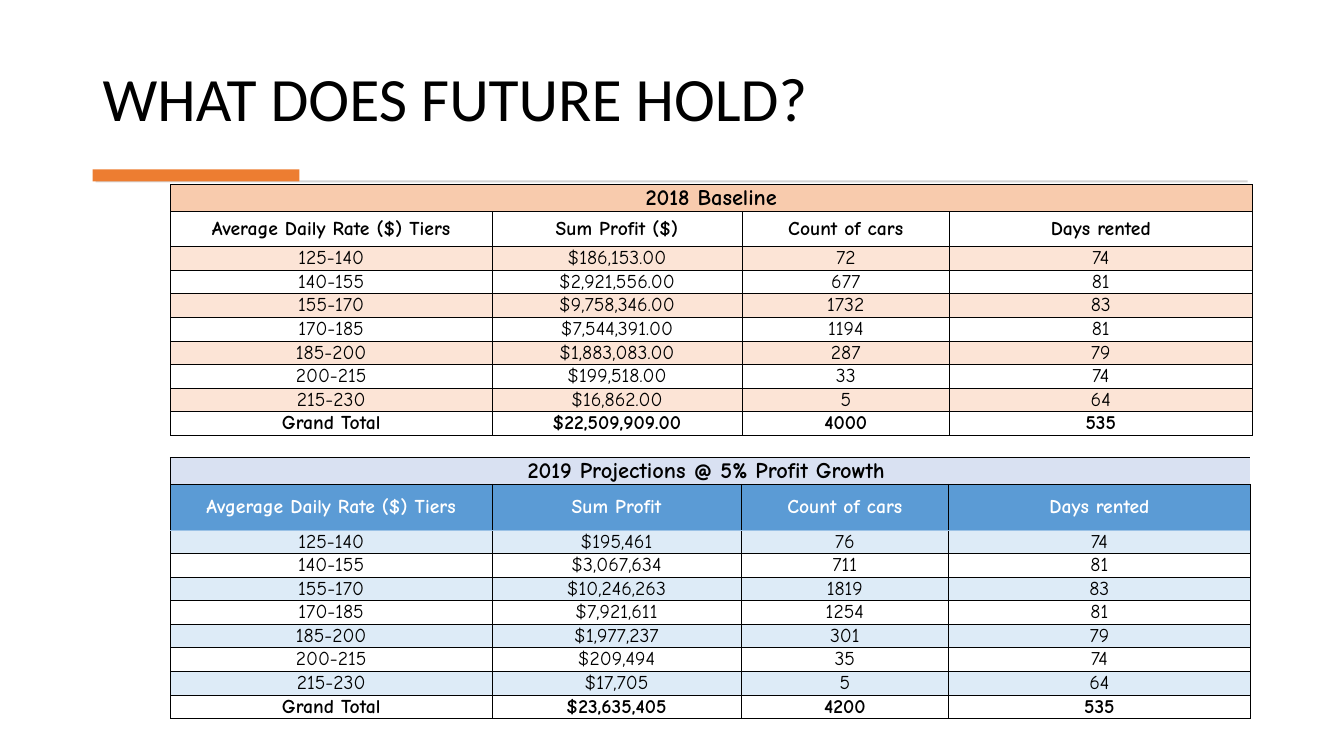
"""Build the slide that sets a 2018 baseline table above its 2019 projection."""
from dataclasses import dataclass

from lxml import etree
from pptx import Presentation, util as u
from pptx.dml.color import RGBColor
from pptx.enum import shapes, text
from pptx.oxml import ns

WIDTH, HEIGHT = u.Inches(13.33), u.Inches(7.5)
BLACK, WHITE = "000000", "FFFFFF"
TABLE_LEFT = 12.68
TITLE_ROW, BODY_ROW = 3.33, 2.93
TIERS = ("125-140", "140-155", "155-170", "170-185", "185-200", "200-215", "215-230", "Grand Total")
DAYS = ("74", "81", "83", "81", "79", "74", "64", "535")
Edges = dict[str, tuple[str, float]]


@dataclass
class Area:
    """A rectangle in percent of the slide's width and height."""
    left: float
    top: float
    width: float
    height: float

    def emu(self) -> tuple[int, int, int, int]:
        return across(self.left), down(self.top), across(self.width), down(self.height)


@dataclass
class Bar:
    """A plain filled strip under the heading."""
    area: Area
    fill: str


@dataclass
class RateTable:
    """One rental table: wording, geometry in percent, and colours."""
    title: str
    headings: tuple[str, ...]
    profits: tuple[str, ...]
    cars: tuple[str, ...]
    top: float
    columns: tuple[float, ...]
    heading_row: float
    title_fill: str
    heading_fill: str | None
    heading_color: str
    band_fill: str
    row_edges: dict[int, Edges]


@dataclass
class CellStyle:
    """The look of one cell."""
    size: int
    bold: bool
    color: str
    fill: str | None
    edges: Edges


BARS = (
    Bar(Area(7.12, 23.87, 85.72, 0.27), "D5D5D5"),
    Bar(Area(6.9, 22.4, 15.38, 1.6), "ED7D31"),
)

TABLES = (
    RateTable(
        "2018 Baseline",
        ("Average Daily Rate ($) Tiers", "Sum Profit ($)", "Count of cars", "Days rented"),
        ("$186,153.00", "$2,921,556.00", "$9,758,346.00", "$7,544,391.00",
         "$1,883,083.00", "$199,518.00", "$16,862.00", "$22,509,909.00"),
        ("72", "677", "1732", "1194", "287", "33", "5", "4000"),
        24.4, (23.93, 18.6, 15.45, 22.5), 4.67, "F8CBAD", None, BLACK, "FCE4D6",
        {8: {"B": (BLACK, 1)}, 9: {"T": (BLACK, 1)}},
    ),
    RateTable(
        "2019 Projections @ 5% Profit Growth ",
        ("Avgerage Daily Rate ($) Tiers", "Sum Profit", "Count of cars", "Days rented"),
        ("$195,461", "$3,067,634", "$10,246,263", "$7,921,611",
         "$1,977,237", "$209,494", "$17,705", "$23,635,405"),
        ("76", "711", "1819", "1254", "301", "35", "5", "4200"),
        60.53, (23.93, 18.53, 15.45, 22.43), 6, "D9E1F2", "5B9BD5", WHITE, "DDEBF7",
        {0: {"L": (BLACK, 1), "T": (BLACK, 1), "R": (BLACK, 0), "B": (BLACK, 1)},
         1: {"T": (BLACK, 1), "B": ("9BC2E6", 0.5)},
         2: {"T": ("9BC2E6", 0.5)}},
    ),
)


def across(share: float) -> int:
    """Turn a percentage of the slide's width into a length."""
    return round(WIDTH * share / 100)


def down(share: float) -> int:
    """Turn a percentage of the slide's height into a length."""
    return round(HEIGHT * share / 100)


def paint(fill, color: str | None) -> None:
    """Apply a solid hex colour, or no fill."""
    if color is None:
        fill.background()
    else:
        fill.solid()
        fill.fore_color.rgb = RGBColor.from_string(color)


def assign(target, values: dict) -> None:
    """Set each named attribute on the target."""
    for name, value in values.items():
        setattr(target, name, value)


def write(para, words: str, face: str, size: int, color: str, bold: bool = False) -> None:
    """Add one formatted span to a paragraph."""
    span = para.add_run()
    span.text = words
    assign(span.font, {"name": face, "size": u.Pt(size), "bold": bold})
    paint(span.font.fill, color)


def draw_heading(page) -> None:
    """Place the slide heading."""
    frame = page.shapes.add_textbox(*Area(6.9, 3.73, 86.18, 14.8).emu()).text_frame
    assign(frame, {"word_wrap": True, "vertical_anchor": text.MSO_ANCHOR.BOTTOM})
    para = frame.paragraphs[0]
    para.line_spacing = 0.9
    write(para, "WHAT DOES FUTURE HOLD?", "Calibri", 44, BLACK)


def draw_bar(page, bar: Bar) -> None:
    """Place one strip."""
    box = page.shapes.add_shape(shapes.MSO_SHAPE.RECTANGLE, *bar.area.emu())
    box.shadow.inherit = False
    paint(box.fill, bar.fill)
    box.line.fill.background()


def add_edges(cell, edges: Edges) -> None:
    """Draw the four borders of a cell; zero width means none."""
    properties = cell._tc.get_or_add_tcPr()
    for side in "LRTB":
        color, width = edges.get(side, (BLACK, 0.5))
        line = etree.SubElement(properties, ns.qn(f"a:ln{side}"), w=str(u.Pt(width)))
        if width:
            solid = etree.SubElement(line, ns.qn("a:solidFill"))
            etree.SubElement(solid, ns.qn("a:srgbClr"), val=color)
        else:
            etree.SubElement(line, ns.qn("a:noFill"))


def fill_cell(cell, words: str, style: CellStyle) -> None:
    """Give a cell its borders, fill and centred wording."""
    add_edges(cell, style.edges)
    paint(cell.fill, style.fill)
    assign(cell, {"margin_left": 0, "margin_right": 0, "margin_top": 0, "margin_bottom": 0,
                  "vertical_anchor": text.MSO_ANCHOR.MIDDLE})
    para = cell.text_frame.paragraphs[0]
    para.alignment = text.PP_ALIGN.CENTER
    if words:
        write(para, words, "Comic Neue", style.size, style.color, style.bold)


def row_style(table: RateTable, index: int, last: int) -> CellStyle:
    """Choose the look of a row from its place in the table."""
    edges = table.row_edges.get(index, {})
    if index == 0:
        return CellStyle(16, True, BLACK, table.title_fill, edges)
    if index == 1:
        return CellStyle(14, True, table.heading_color, table.heading_fill, edges)
    band = table.band_fill if index % 2 == 0 else None
    return CellStyle(14, index == last, BLACK, band, edges)


def draw_table(page, table: RateTable) -> None:
    """Place one rental table."""
    rows = [(table.title, "", "", ""), table.headings,
            *zip(TIERS, table.profits, table.cars, DAYS)]
    heights = [TITLE_ROW, table.heading_row] + [BODY_ROW] * len(TIERS)
    area = Area(TABLE_LEFT, table.top, sum(table.columns), sum(heights))
    grid = page.shapes.add_table(len(rows), len(table.columns), *area.emu()).table
    assign(grid, {"first_row": False, "horz_banding": False})
    for column, share in zip(grid.columns, table.columns):
        column.width = across(share)
    for index, (words, share) in enumerate(zip(rows, heights)):
        grid.rows[index].height = down(share)
        style = row_style(table, index, len(rows) - 1)
        for cell, entry in zip(grid.rows[index].cells, words):
            fill_cell(cell, entry, style)
    grid.cell(0, 0).merge(grid.cell(0, len(table.columns) - 1))


def main() -> None:
    """Assemble and save the deck."""
    deck = Presentation()
    assign(deck, {"slide_width": WIDTH, "slide_height": HEIGHT})
    page = deck.slides.add_slide(deck.slide_layouts[6])
    draw_heading(page)
    for bar in BARS:
        draw_bar(page, bar)
    for table in TABLES:
        draw_table(page, table)
    deck.save("out.pptx")


if __name__ == "__main__":
    main()
